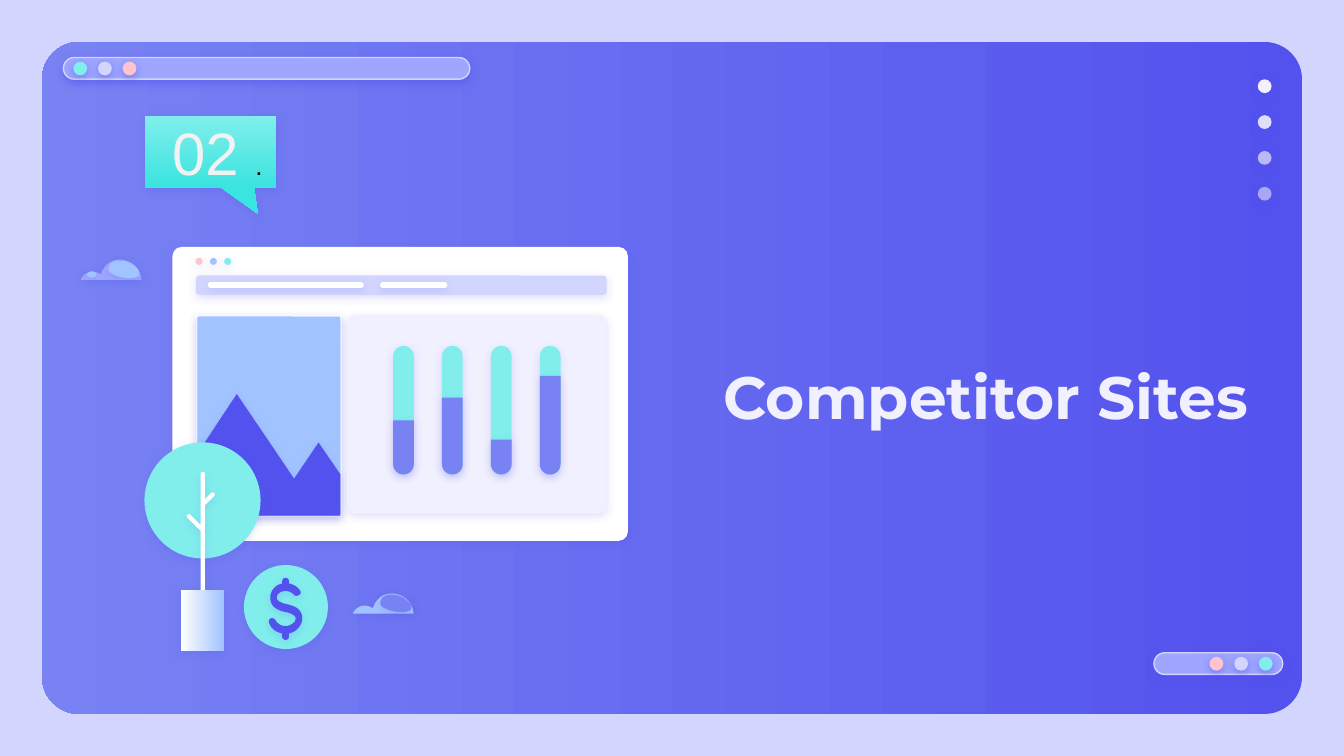
"""Build the "Competitor Sites" section slide."""
from pptx import Presentation
from pptx.dml import color
from pptx.enum import shapes, text
from pptx.oxml import ns, xmlchemy
from pptx.util import Pt
from lxml import etree

INDIGO, PERIWINKLE, LAVENDER, LILAC = "5352EE", "7882F3", "9EA6FF", "D2D6FF"
MINT, TEAL, PINK, SKY, PALE, WHITE = "81EEEB", "3AE4DF", "FFC3D0", "A1C3FF", "F1F0FF", "FFFFFF"
KIND = shapes.MSO_SHAPE

CLOUD = [
    (21, 0), (18.5, 0, 16.2, 0.8, 14.4, 2.2), (12.9, 3.6, 11.5, 5.4, 10.8, 7.9),
    (9.4, 7, 7.9, 6.5, 6.5, 6.5), (5.8, 6.5, 5, 6.5, 4.3, 6.8),
    (2.6, 7.3, 0.8, 8.8, 0, 10.8), (32.6, 10.8), (32.2, 6.5, 29.8, 3.2, 26.9, 1.6),
    (25, 0.6, 23, 0, 21, 0),
]
CLOUD_LIGHT = [
    (20.8, 0.6), (18.9, 0.6, 17, 1, 15.8, 2.3), (15, 3.4, 14.4, 5, 15.1, 6.3),
    (15.8, 7.2, 16.8, 7.8, 18, 8.2), (20.4, 9.3, 23, 10, 26, 10),
    (27.5, 10, 29, 9.7, 30.2, 9.2), (31, 8.8, 31, 8.6, 31.2, 8),
    (31.6, 7, 31, 5.8, 30.4, 5), (28, 2, 24.4, 0.6, 20.8, 0.6),
]
TRUNK = [
    (8.5, 0), (7.8, 0, 7.4, 0.5, 7.4, 1.1), (7.4, 28.6), (1.9, 23.1),
    (1.4, 22.6, 0.8, 22.6, 0.3, 23.1), (-0.1, 23.6, -0.1, 24.2, 0.3, 24.7),
    (7.4, 31.7), (7.4, 67.3), (7.4, 68, 7.8, 68.4, 8.5, 68.4),
    (9.2, 68.4, 9.6, 68, 9.6, 67.3), (9.6, 18), (14.6, 13),
    (15.1, 12.5, 15.1, 11.9, 14.6, 11.4), (14.1, 11, 13.5, 11, 13, 11.4),
    (9.6, 14.9), (9.6, 1.1), (9.6, 0.5, 9.2, 0, 8.5, 0),
]
DOLLAR = [
    (9, 0), (8, 0, 7.2, 0.7, 7.2, 1.7), (7.2, 3), (5.4, 3.4, 3.6, 4.3, 2.5, 5.8),
    (1.4, 7.2, 0.8, 8.8, 0.8, 10.6), (0.8, 12.7, 1.5, 14.4, 2.9, 15.6),
    (4.3, 16.9, 6.5, 17.8, 9, 18.3), (10.5, 18.6, 11.6, 18.9, 12.5, 19.5),
    (13.7, 20, 14.4, 20.8, 14.4, 21.8), (14.4, 23, 13.7, 23.9, 12.6, 24.6),
    (11.6, 25.3, 10.4, 25.8, 9, 25.8), (6.6, 25.8, 4.9, 24.7, 3.7, 22.9),
    (3.2, 22, 2.3, 21.4, 1.4, 21.6), (0.5, 21.8, -0.1, 22.6, 0, 23.3),
    (0, 23.7, 0.1, 24.1, 0.3, 24.5), (0.9, 25.9, 1.7, 27, 2.9, 27.9),
    (4.2, 28.9, 5.6, 29.4, 7.2, 29.8), (7.2, 31.5), (7.2, 32.5, 8, 33.2, 9, 33.2),
    (10, 33.2, 10.8, 32.5, 10.8, 31.5), (10.8, 29.8), (12.8, 29.4, 14.6, 28.3, 15.8, 26.8),
    (17.2, 25.3, 17.9, 23.6, 17.9, 21.6), (17.9, 19.6, 17.2, 17.9, 15.8, 16.7),
    (14.6, 15.6, 12.7, 14.8, 10.2, 14.2), (8.6, 13.9, 7.2, 13.5, 6.3, 13),
    (5.1, 12.5, 4.3, 11.7, 4.3, 10.6), (4.3, 9.6, 4.8, 8.6, 5.7, 8),
    (6.6, 7.4, 7.7, 7, 9, 7), (10, 7, 10.9, 7.2, 11.7, 7.7),
    (12.5, 8.1, 13.1, 8.6, 13.5, 9.1), (14, 9.6, 14.7, 9.7, 15.4, 9.5),
    (16.4, 9.2, 17.2, 8.6, 17.1, 7.7), (17.1, 7.4, 17, 7.1, 16.8, 6.8),
    (15.5, 4.8, 13.4, 3.5, 10.8, 3), (10.8, 1.7), (10.8, 0.7, 10, 0, 9, 0),
]
MOUNTAINS = [(21.1, 0), (0, 31.9), (0, 65.2), (76.6, 65.2), (76.6, 43.1), (64.9, 26), (51.8, 45.4)]


def paint(target, hex_color):
    """Give a fill or a font one solid colour."""
    if hasattr(target, "solid"):
        target.solid()
        target = target.fore_color
    else:
        target = target.color
    target.rgb = color.RGBColor.from_string(hex_color)


def paint_gradient(shape, start, end, angle):
    """Fill a shape with a two-colour gradient, angle counter-clockwise."""
    shape.fill.gradient()
    shape.fill.gradient_angle = angle
    for stop, hex_color in zip(shape.fill.gradient_stops, (start, end)):
        stop.color.rgb = color.RGBColor.from_string(hex_color)


def set_alpha(parent, percent):
    """Make the solid colour inside an element partly transparent."""
    solid = next(parent.iter(ns.qn("a:srgbClr")))
    etree.SubElement(solid, ns.qn("a:alpha"), val=str(percent * 1000))


def finish(shape, fill, glow=17):
    """Set fill, no outline, and a soft indigo shadow of the given opacity."""
    paint(shape.fill, fill)
    shape.line.fill.background()
    shape.shadow.inherit = False
    if glow:
        effects = shape.element.spPr.find(ns.qn("a:effectLst"))
        shadow = etree.SubElement(
            effects, ns.qn("a:outerShdw"), blurRad=str(Pt(4.5)), dist=str(Pt(1.5)),
            dir="5400000", algn="bl", rotWithShape="0")
        etree.SubElement(shadow, ns.qn("a:srgbClr"), val=INDIGO)
        set_alpha(shadow, glow)
    return shape


def add_preset(slide, kind, left, top, width, height, fill, glow=17):
    """Add a preset shape."""
    shape = slide.shapes.add_shape(kind, Pt(left), Pt(top), Pt(width), Pt(height))
    return finish(shape, fill, glow)


def add_card(slide, left, top, width, height, radius, fill, glow=17):
    """Add a rectangle with a corner radius in points."""
    shape = add_preset(slide, KIND.ROUNDED_RECTANGLE, left, top, width, height, fill, glow)
    shape.adjustments[0] = radius / min(width, height)
    return shape


def add_dot(slide, left, top, size, fill, glow=17):
    """Add a circle."""
    return add_preset(slide, KIND.OVAL, left, top, size, size, fill, glow)


def add_outline(slide, left, top, steps, fill):
    """Add a filled outline from points and cubic curves, relative to left and top."""
    points = [steps[0]]
    for step in steps[1:]:
        if len(step) == 2:
            points.append(step)
            continue
        knots = [points[-1], step[:2], step[2:4], step[4:]]
        for t in (0.2, 0.4, 0.6, 0.8, 1):
            weights = ((1 - t) ** 3, 3 * t * (1 - t) ** 2, 3 * t * t * (1 - t), t ** 3)
            points.append(tuple(sum(w * k[axis] for w, k in zip(weights, knots)) for axis in (0, 1)))
    first, *rest = [(Pt(left + x), Pt(top + y)) for x, y in points]
    builder = slide.shapes.build_freeform(*first)
    builder.add_line_segments(rest, close=True)
    return finish(builder.convert_to_shape(), fill)


def add_pill(slide, left, top, width, first_dot, dot_colors):
    """Add an outlined pill with three dots in it."""
    pill = add_card(slide, left, top, width, 11.6, 5.8, LAVENDER, 50)
    paint(pill.line.fill, LILAC)
    pill.line.width = Pt(0.75)
    for index, fill in enumerate(dot_colors):
        add_dot(slide, first_dot + 13.2 * index, top + 2.2, 7.4, fill, 50)


def add_cloud(slide, left, top, body, light):
    """Add a cloud with a highlight."""
    add_outline(slide, left, top, CLOUD, body)
    add_outline(slide, left, top, CLOUD_LIGHT, light)


def add_run(paragraph, words, size, font_name, hex_color, bold=False):
    """Add one formatted run."""
    run = paragraph.add_run()
    run.text = words
    run.font.size, run.font.name, run.font.bold = Pt(size), font_name, bold
    paint(run.font, hex_color)


def open_text(shape, anchor):
    """Set up a text frame and return its right-aligned first paragraph."""
    frame = shape.text_frame
    frame.word_wrap, frame.auto_size = True, text.MSO_AUTO_SIZE.NONE
    frame.vertical_anchor = anchor
    frame.margin_left = frame.margin_right = frame.margin_top = frame.margin_bottom = Pt(7.2)
    frame.paragraphs[0].alignment = text.PP_ALIGN.RIGHT
    return frame.paragraphs[0]


def add_title(slide):
    """Place the title in front of the frame."""
    title = slide.shapes.title
    slide.shapes.element.append(title.element)
    title.left, title.top, title.width, title.height = Pt(361.4), Pt(185.3), Pt(314.6), Pt(45.4)
    paragraph = open_text(title, text.MSO_ANCHOR.TOP)
    add_run(paragraph, "Competitor Sites", 32, "Montserrat", PALE, True)


def add_frame(slide):
    """Add the gradient frame with its pills and the column of fading dots."""
    frame = add_card(slide, 22.5, 22.5, 675, 360, 20, INDIGO, 0)
    paint_gradient(frame, INDIGO, PERIWINKLE, 180)
    add_pill(slide, 34, 30.8, 217.7, 39.3, (MINT, LILAC, PINK))
    add_pill(slide, 618.2, 349.7, 69, 648, (PINK, LILAC, MINT))
    for index, percent in enumerate((100, 89, 66, 54)):
        dot = add_dot(slide, 673.8, 42.5 + 19.2 * index, 7.4, PALE, 50)
        set_alpha(dot.element.spPr, percent)


def add_browser(slide):
    """Add the browser window with its picture and bars."""
    add_card(slide, 92.4, 132.3, 244, 157.5, 5, WHITE)
    add_card(slide, 105, 168.6, 78.3, 108.6, 1.8, WHITE)
    add_card(slide, 105.8, 169.6, 76.6, 106.7, 0.9, SKY)
    add_outline(slide, 105.8, 211.1, MOUNTAINS, INDIGO)
    add_card(slide, 105, 147.6, 220, 10.4, 1.8, LILAC)
    for left, width in ((111.3, 83.6), (203.6, 36.1)):
        add_card(slide, left, 151.1, width, 3.2, 1.6, WHITE)
    for index, fill in enumerate((PINK, SKY, MINT)):
        add_dot(slide, 104.8 + 7.65 * index, 138.2, 3.7, fill)
    add_card(slide, 186, 168.6, 139, 106.6, 4.7, PALE)
    for index, level in enumerate((225.3, 213, 235.5, 201.4)):
        left = 210.6 + 26.2 * index
        add_card(slide, left, 185.3, 11.1, 68.9, 5.55, MINT)
        bar = add_preset(slide, KIND.ROUND_2_SAME_RECTANGLE, left, level, 11.1, 254.2 - level, PERIWINKLE)
        bar.adjustments[0], bar.adjustments[1] = 0, 0.5


def add_tree_and_coin(slide):
    """Add the potted tree and the dollar coin."""
    add_dot(slide, 77.4, 237, 62.2, MINT)
    add_outline(slide, 100.1, 252.7, TRUNK, WHITE)
    pot = add_preset(slide, KIND.RECTANGLE, 97, 316.1, 23, 32.7, WHITE)
    paint_gradient(pot, WHITE, SKY, 0)
    add_dot(slide, 130.7, 302.7, 45, MINT)
    add_outline(slide, 144, 309.6, DOLLAR, INDIGO)


def add_number(slide):
    """Add the section number callout."""
    callout = add_preset(slide, KIND.ROUNDED_RECTANGULAR_CALLOUT, 77.7, 62.1, 70.1, 38.5, MINT, 24)
    for index, value in enumerate((0.362, 0.862, 0)):
        callout.adjustments[index] = value
    paint_gradient(callout, MINT, TEAL, 270)
    paragraph = open_text(callout, text.MSO_ANCHOR.MIDDLE)
    add_run(paragraph, "02 ", 32, "Arial", "F2F2F2")
    add_run(paragraph, ".", 14, "Arial", "000000")


def main():
    """Build and save the slide."""
    presentation = Presentation()
    presentation.slide_width, presentation.slide_height = Pt(720), Pt(405)
    slide = presentation.slides.add_slide(presentation.slide_layouts[5])
    paint(slide.background.fill, LILAC)
    add_frame(slide)
    add_title(slide)
    add_browser(slide)
    add_cloud(slide, 43.3, 139.1, LAVENDER, SKY)
    add_preset(slide, KIND.OVAL, 46.6, 145.4, 5.1, 3.4, SKY)
    add_tree_and_coin(slide)
    add_cloud(slide, 189, 318, SKY, PERIWINKLE)
    add_number(slide)
    presentation.save("out.pptx")


if __name__ == "__main__":
    main()
